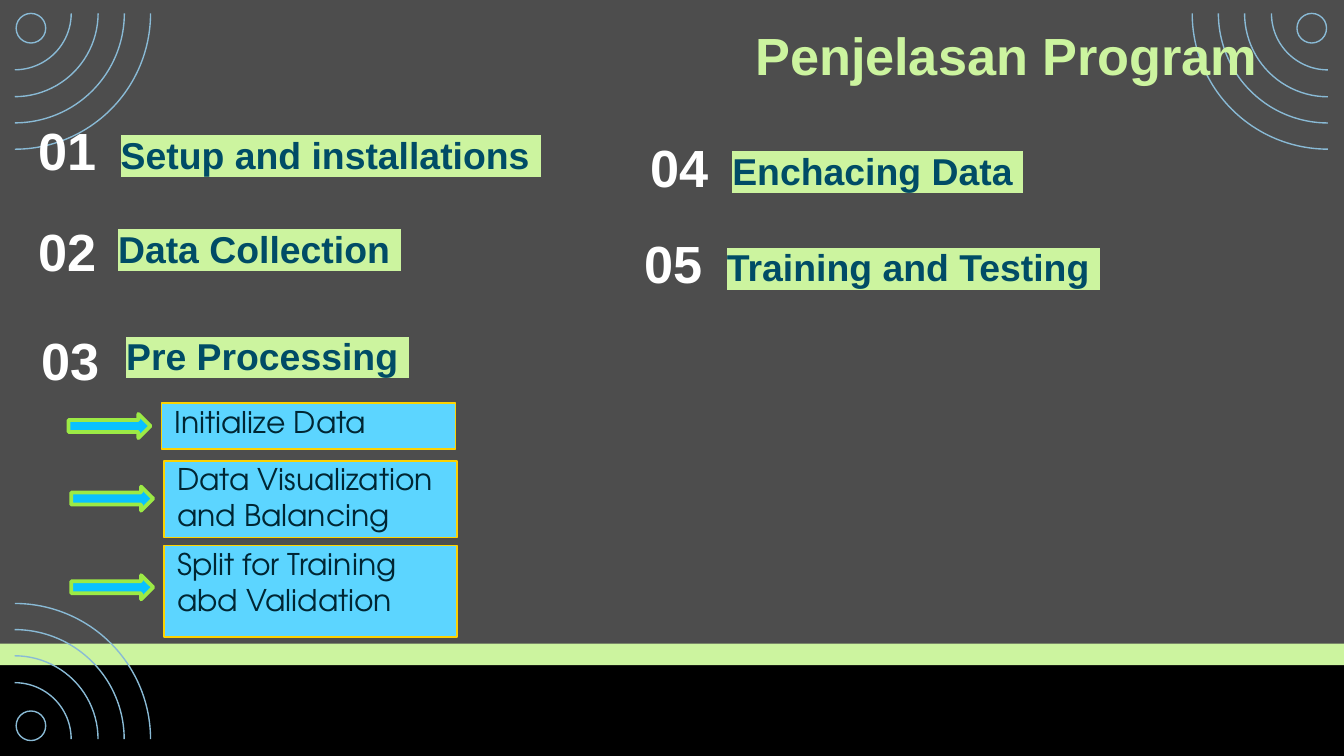
from lxml import etree
from pptx import Presentation
from pptx.dml.color import RGBColor
from pptx.enum import shapes, text
from pptx.oxml import ns
from pptx.util import Inches, Pt

GRAY = RGBColor(0x4D, 0x4D, 0x4D)
BLACK = RGBColor(0x00, 0x00, 0x00)
WHITE = RGBColor(0xFF, 0xFF, 0xFF)
LIME = RGBColor(0xCC, 0xF4, 0x9F)
RING_BLUE = RGBColor(0x89, 0xBA, 0xD5)
TEAL = RGBColor(0x00, 0x4C, 0x66)
SKY = RGBColor(0x5C, 0xD5, 0xFF)
YELLOW = RGBColor(0xFD, 0xD2, 0x00)
NAVY = RGBColor(0x00, 0x26, 0x33)
ARROW_BLUE = RGBColor(0x0A, 0xC1, 0xFF)
ARROW_GREEN = RGBColor(0x9C, 0xEA, 0x45)

SHAPE = shapes.MSO_SHAPE
TOP, BOTTOM = text.MSO_ANCHOR.TOP, text.MSO_ANCHOR.BOTTOM
NUMBER = {"size": Pt(28), "bold": True, "name": "Arial"}
HEADING = {"size": Pt(20), "bold": True, "name": "Arial"}
STEP = {"size": Pt(16), "bold": False, "name": "TeX Gyre Adventor"}

# left, top and height of the number, then left and top of the heading and its width
TOPICS = [
    ("01", "Setup and installations ", (0.19, 0.78, 0.57), (0.66, 0.98, 4.43)),
    ("02", "Data Collection ", (0.19, 1.56, 0.54), (0.64, 1.68, 2.86)),
    ("03", "Pre Processing ", (0.21, 2.37, 0.54), (0.7, 2.48, 2.86)),
    ("04", "Enchacing Data ", (4.74, 0.9, 0.57), (5.21, 1.1, 2.95)),
    ("05", "Training and Testing ", (4.7, 1.62, 0.57), (5.17, 1.82, 4.43)),
]
STEPS = [
    ("Initialize Data", (1.2, 3, 2.19, 0.34), 0.08),
    ("Data Visualization and Balancing", (1.22, 3.43, 2.18, 0.57), 0.19),
    ("Split for Training abd Validation", (1.22, 4.06, 2.18, 0.68), 0.22),
]


def place(item, box):
    for name, value in zip(("left", "top", "width", "height"), box):
        setattr(item, name, Inches(value))


def paint(item, fill=None, line=None, width=0.75):
    if fill is None:
        item.fill.background()
    else:
        item.fill.solid()
        item.fill.fore_color.rgb = fill
    if line is None:
        item.line.fill.background()
    else:
        item.line.color.rgb = line
        item.line.width = Pt(width)


def draw(page, kind, box, **colors):
    item = page.shapes.add_shape(kind, *map(Inches, box))
    item.shadow.inherit = False
    paint(item, **colors)
    return item


def write(item, words, style, color, anchor=TOP):
    """Fill a shape with one left-aligned paragraph and return it with its span."""
    frame = item.text_frame
    settings = {"word_wrap": True, "auto_size": text.MSO_AUTO_SIZE.NONE,
                "vertical_anchor": anchor, "margin_left": Inches(0.1),
                "margin_right": Inches(0.1), "margin_top": 0, "margin_bottom": 0}
    for name, value in settings.items():
        setattr(frame, name, value)
    para = frame.paragraphs[0]
    para.alignment = text.PP_ALIGN.LEFT
    para.space_before = Pt(0)
    span = para.add_run()
    span.text = words
    span.font.color.rgb = color
    for name, value in style.items():
        setattr(span.font, name, value)
    return para, span


def highlight(span, color):
    mark = etree.Element(ns.qn("a:highlight"))
    etree.SubElement(mark, ns.qn("a:srgbClr")).set("val", str(color))
    span._r.get_or_add_rPr().find(ns.qn("a:solidFill")).addnext(mark)


def add_rings(page, corner, toward, rotation):
    """Quarter rings around a corner, with a small circle on the inner side."""
    x, y = corner
    for size in (2.02, 1.63, 1.24, 0.84):
        box = (x - size / 2, y - size / 2, size, size)
        draw(page, SHAPE.ARC, box, line=RING_BLUE).rotation = rotation
    size = 0.22
    middle = [at + step - size / 2 for at, step in zip(corner, toward)]
    draw(page, SHAPE.OVAL, (*middle, size, size), line=RING_BLUE)


def add_backdrop(page):
    page.background.fill.solid()
    page.background.fill.fore_color.rgb = GRAY
    draw(page, SHAPE.RECTANGLE, (0, 4.93, 10, 0.7), fill=BLACK)
    draw(page, SHAPE.RECTANGLE, (0, 4.79, 10, 0.16), fill=LIME)
    add_rings(page, (0.11, 0.1), (0.12, 0.11), 90)
    add_rings(page, (0.11, 5.5), (0.12, -0.1), 0)
    add_rings(page, (9.88, 0.1), (-0.12, 0.11), 180)


def add_topic(page, number, heading, number_at, heading_at):
    left, top, height = number_at
    label = page.shapes.add_textbox(*map(Inches, (left, top, 0.73, height)))
    write(label, number, NUMBER, WHITE, BOTTOM)
    left, top, width = heading_at
    label = page.shapes.add_textbox(*map(Inches, (left, top, width, 0.33)))
    para, span = write(label, heading, HEADING, TEAL)
    props = para._p.get_or_add_pPr()
    props.set("marL", str(Inches(0.14)))
    props.set("indent", "0")
    highlight(span, LIME)


def add_step(page, item, words, box, arrow_drop):
    """A step box with an arrow on its left."""
    place(item, box)
    paint(item, fill=SKY, line=YELLOW)
    write(item, words, STEP, NAVY)
    left, top = box[:2]
    draw(page, SHAPE.RIGHT_ARROW, (left - 0.69, top + arrow_drop, 0.61, 0.18),
         fill=ARROW_BLUE, line=ARROW_GREEN, width=2)


def build():
    deck = Presentation()
    deck.slide_width, deck.slide_height = Inches(10), Inches(10 * 9 / 16)
    page = deck.slides.add_slide(deck.slide_layouts[0])
    title, subtitle = page.shapes.title, page.placeholders[1]
    add_backdrop(page)
    for item in (title, subtitle):  # bring in front of the backdrop
        page.shapes._spTree.append(item._element)
    place(title, (5.52, -2.97, 5, 3.61))
    write(title, "Penjelasan Program", NUMBER, LIME, BOTTOM)
    for topic in TOPICS:
        add_topic(page, *topic)
    for index, (words, box, arrow_drop) in enumerate(STEPS):
        item = subtitle if index == 0 else draw(page, SHAPE.RECTANGLE, box)
        add_step(page, item, words, box, arrow_drop)
    deck.save("out.pptx")


if __name__ == "__main__":
    build()
